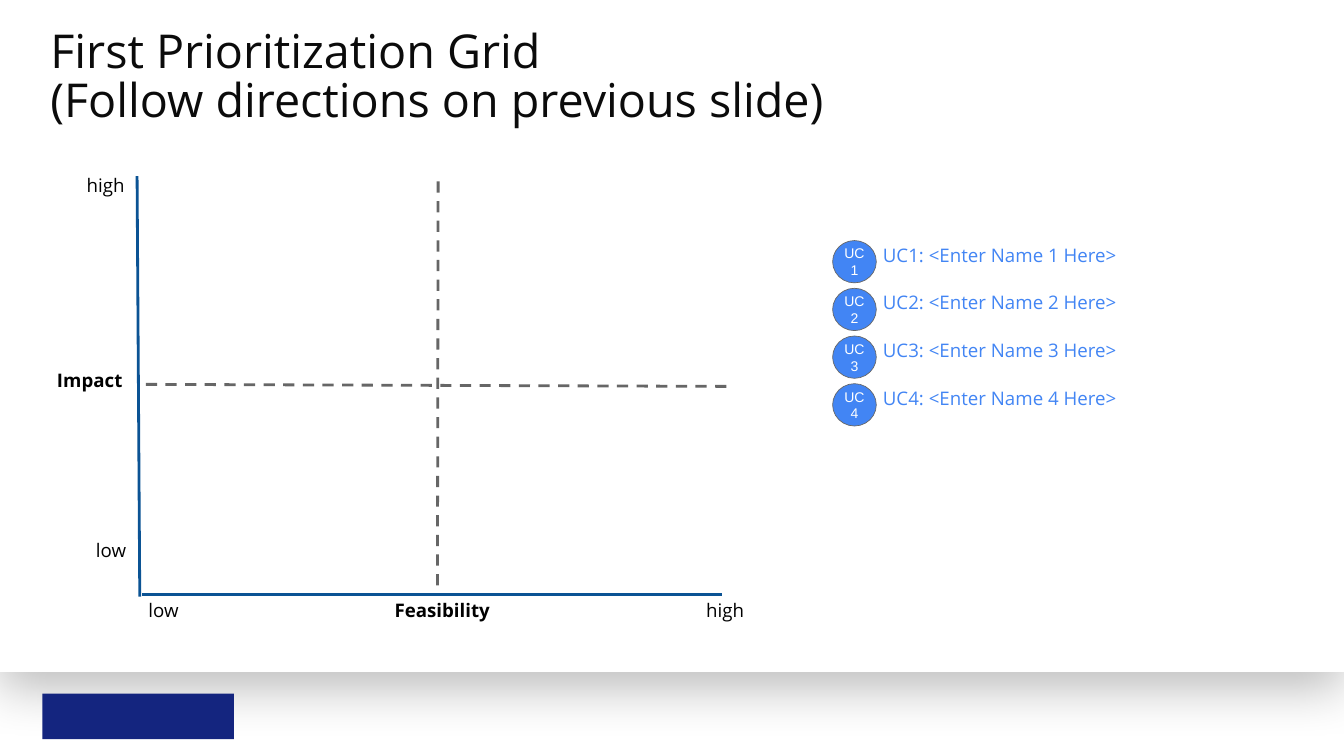
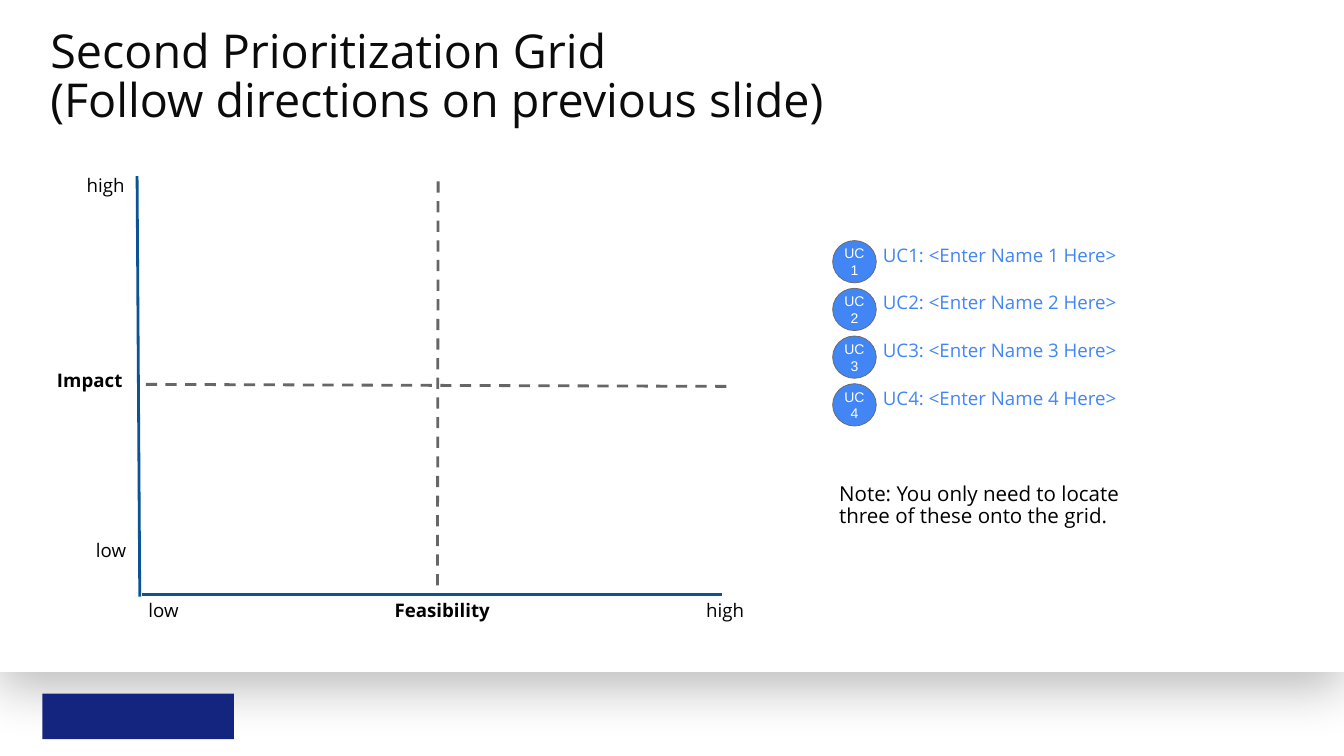
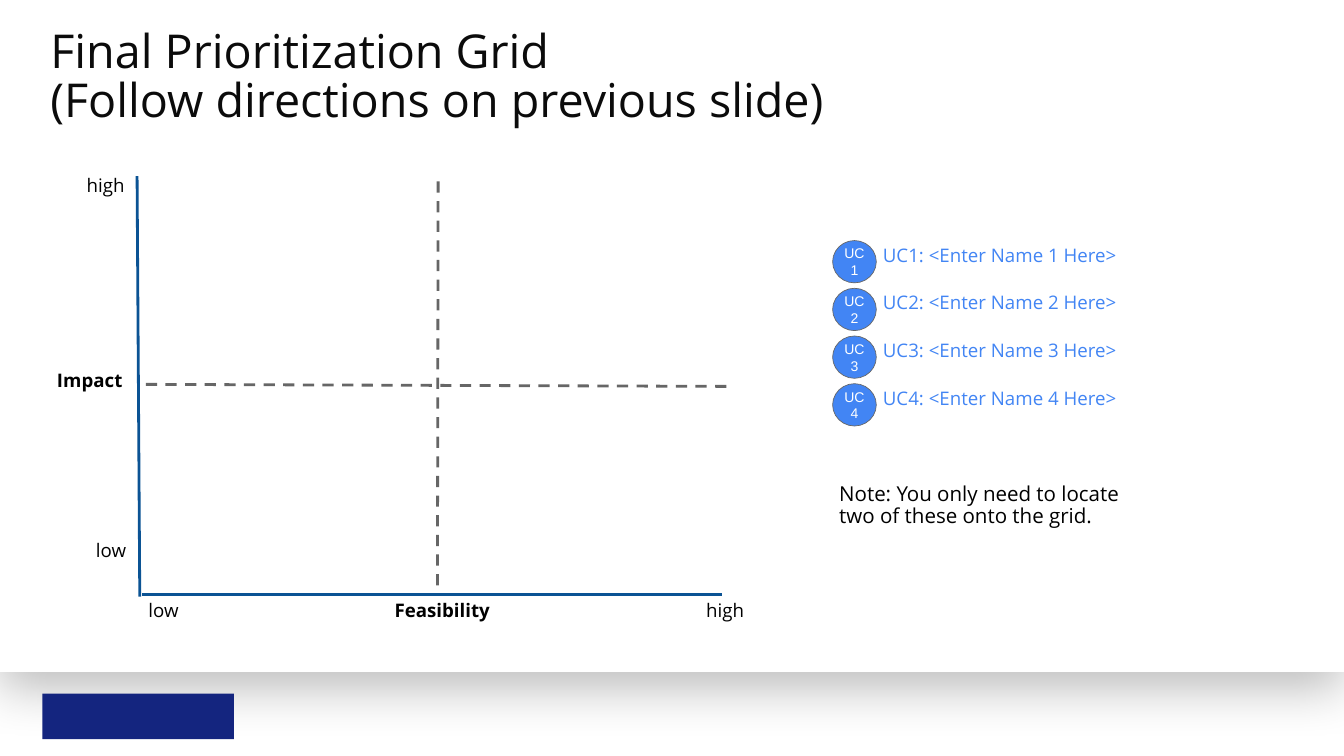
"""Build three prioritization grid slides that share one chart, key and footer."""
from lxml.etree import SubElement as Sub
from pptx import Presentation
from pptx.dml.color import RGBColor
from pptx.enum.dml import MSO_LINE as Dash
from pptx.enum.shapes import MSO_CONNECTOR as Link, MSO_SHAPE as Form
from pptx.enum.text import MSO_ANCHOR as Anchor, PP_ALIGN as Align
from pptx.oxml.ns import qn
from pptx.util import Inches, Pt

WHITE = RGBColor(0xFF, 0xFF, 0xFF)
BLACK = RGBColor(0x00, 0x00, 0x00)
INK = RGBColor(0x0B, 0x0B, 0x0B)
NAVY = RGBColor(0x14, 0x25, 0x7F)
BLUE = RGBColor(0x42, 0x85, 0xF4)
AXIS = RGBColor(0x0B, 0x53, 0x94)
GRAY = RGBColor(0x66, 0x66, 0x66)

SANS, ARIAL = "Open Sans", "Arial"
COLS, ROWS = 20, 11.25
KEY_X, KEY_Y, KEY_STEP = 12.39, 3.58, 0.71

LABELS = [
    ("Impact", 0.75, 5.43, 1.43, True, Align.LEFT),
    ("Feasibility", 3.62, 8.85, 5.92, True, Align.CENTER),
    ("low", 2.11, 8.85, 1.14, False, Align.LEFT),
    ("low", 1.33, 7.96, 1.14, False, Align.LEFT),
    ("high", 10.41, 8.85, 1.39, False, Align.LEFT),
    ("high", 1.19, 2.53, 1.39, False, Align.LEFT),
]
NOTE = "Note: You only need to locate {} of these onto the grid."
GRIDS = [("First", None), ("Second", "three"), ("Final", "two")]


class Deck:
    """Hold the style and the current slide."""

    def __init__(self):
        """Open an empty deck and set its grid unit."""
        self.prs = Presentation()
        self.prs.slide_width, self.prs.slide_height = Inches(COLS), Inches(ROWS)
        self.unit_x = self.prs.slide_width / COLS
        self.unit_y = self.prs.slide_height / ROWS
        self.slide = None

    def place(self, *nums):
        """Turn column and row pairs into lengths."""
        units = (self.unit_x, self.unit_y) * 2
        return [round(n * unit) for n, unit in zip(nums, units)]

    def start(self, title):
        """Add a slide with its panel, footer block and title."""
        self.slide = self.prs.slides.add_slide(self.prs.slide_layouts[6])
        self.shade(self.shape(Form.RECTANGLE, (0, 0, COLS, 10), WHITE))
        self.shape(Form.RECTANGLE, (0.63, 10.32, 2.85, 0.68), NAVY)
        box = self.text(title, (0.75, 0.34, 18.5, 1.65), 50, INK,
                        inset=0, space=0.88)
        box.text_frame.vertical_anchor = Anchor.MIDDLE

    def shape(self, form, area, fill, edge=None):
        """Add a filled preset shape."""
        item = self.slide.shapes.add_shape(form, *self.place(*area))
        item.shadow.inherit = False
        item.fill.solid()
        item.fill.fore_color.rgb = fill
        if edge is None:
            item.line.fill.background()
        else:
            item.line.color.rgb = edge
            item.line.width = Pt(0.75)
        return item

    def shade(self, item):
        """Cast a soft shadow below a shape."""
        effects = item._element.spPr.find(qn("a:effectLst"))
        cast = Sub(effects, qn("a:outerShdw"), blurRad=str(Pt(56.2)),
                   dist=str(Pt(18.8)), dir="5400000", rotWithShape="0")
        color = Sub(cast, qn("a:srgbClr"), val=str(BLACK))
        Sub(color, qn("a:alpha"), val="25000")

    def label(self, item, words, size, color, font=SANS, bold=False,
              align=Align.LEFT, inset=0.1, space=0.9):
        """Fill a shape with styled text."""
        frame = item.text_frame
        frame.word_wrap = True
        frame.margin_left = frame.margin_right = Inches(inset)
        frame.margin_top = frame.margin_bottom = Inches(inset)
        frame.text = words
        for para in frame.paragraphs:
            para.alignment = align
            para.line_spacing = space
            for run in para.runs:
                run.font.name, run.font.size = font, Pt(size)
                run.font.bold = bold
                run.font.color.rgb = color

    def text(self, words, area, size, color=BLACK, **style):
        """Add a text box."""
        box = self.slide.shapes.add_textbox(*self.place(*area))
        self.label(box, words, size, color, **style)
        return box

    def line(self, ends, color, dash=None):
        """Add a straight line."""
        item = self.slide.shapes.add_connector(Link.STRAIGHT, *self.place(*ends))
        item.line.color.rgb = color
        item.line.width = Pt(3)
        if dash is not None:
            item.line.dash_style = dash
        Sub(item._element.spPr, qn("a:effectLst"))

    def key(self, count=4):
        """Add the use case dots and their names."""
        tops = [KEY_Y + i * KEY_STEP for i in range(count)]
        for num, top in enumerate(tops, 1):
            dot = self.shape(Form.OVAL, (KEY_X, top, 0.65, 0.63), BLUE, GRAY)
            self.label(dot, f"UC\v{num}", 15, WHITE, font=ARIAL,
                       align=Align.CENTER, inset=0, space=1.0)
            dot.text_frame.vertical_anchor = Anchor.MIDDLE
        for num, top in enumerate(tops, 1):
            self.text(f"UC{num}: <Enter Name {num} Here>",
                      (KEY_X + 0.65, top - 0.02, 4.64, 0.78), 20, BLUE)

    def chart(self):
        """Draw the axes, the dashed middle lines and the labels."""
        self.line((6.52, 2.7, 6.51, 8.71), GRAY, Dash.DASH)
        self.line((2.17, 5.72, 10.88, 5.75), GRAY, Dash.DASH)
        self.line((2.04, 2.62, 2.08, 8.88), AXIS)
        self.line((10.74, 8.85, 2.11, 8.85), AXIS)
        for words, left, top, width, bold, align in LABELS:
            self.text(words, (left, top, width, 0.78 if bold else 0.4), 20,
                      bold=bold, align=align)


def main():
    """Build and save the deck."""
    deck = Deck()
    for rank, count in GRIDS:
        deck.start(f"{rank} Prioritization Grid\n"
                   "(Follow directions on previous slide)")
        deck.key()
        deck.chart()
        if count:
            deck.text(NOTE.format(count), (KEY_X, 7.1, 4.46, 1.27), 22)
    deck.prs.save("out.pptx")


if __name__ == "__main__":
    main()
